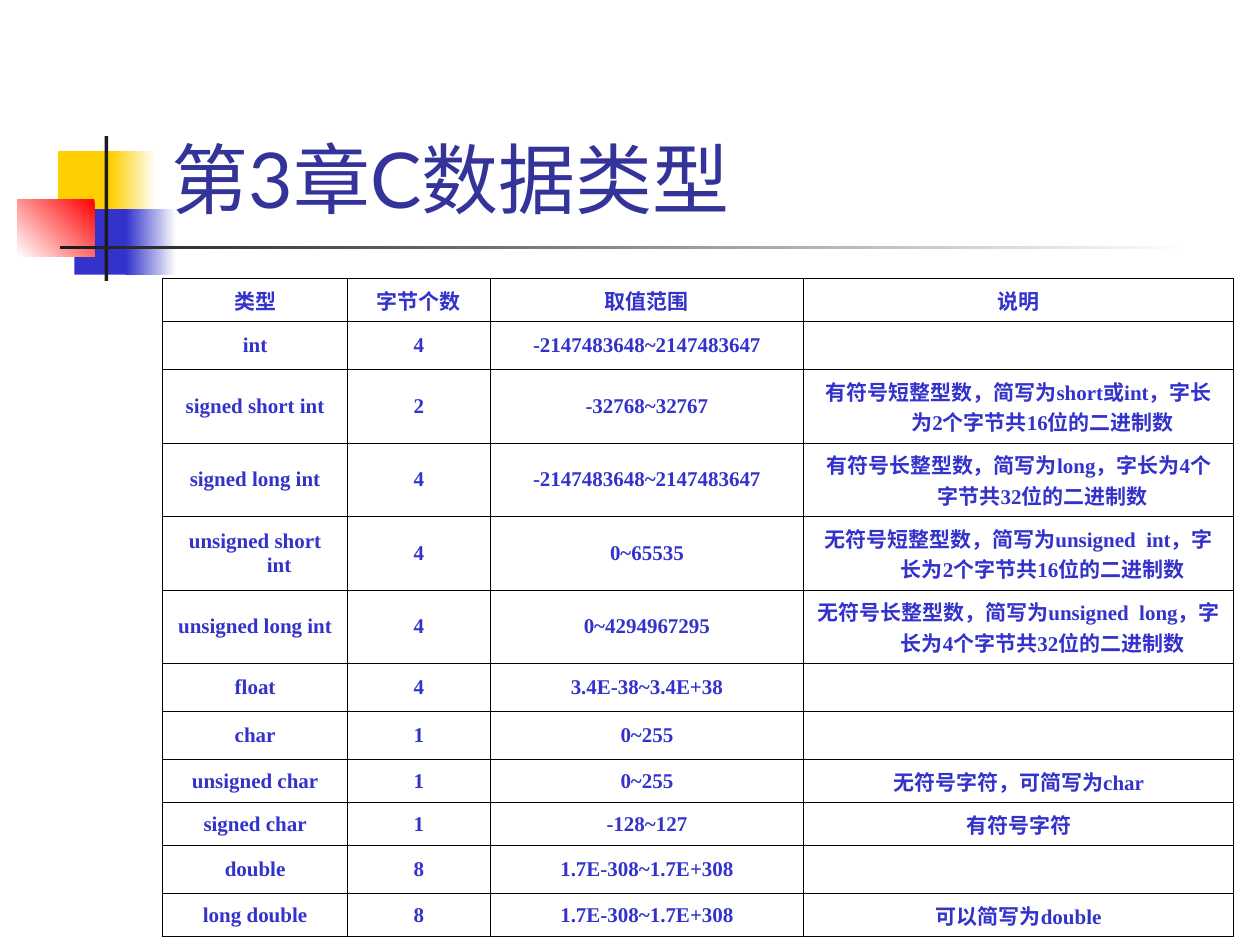
from lxml import etree
from pptx import Presentation
from pptx.dml.color import RGBColor
from pptx.enum.shapes import MSO_SHAPE
from pptx.enum.text import MSO_ANCHOR, PP_ALIGN
from pptx.oxml.ns import qn
from pptx.util import Inches, Pt

RECT = MSO_SHAPE.RECTANGLE
CENTER, LEFT = PP_ALIGN.CENTER, PP_ALIGN.LEFT
MIDDLE, TOP, BOTTOM = MSO_ANCHOR.MIDDLE, MSO_ANCHOR.TOP, MSO_ANCHOR.BOTTOM

WHITE = RGBColor(0xFF, 0xFF, 0xFF)
BLACK = RGBColor(0x00, 0x00, 0x00)
YELLOW = RGBColor(0xFF, 0xCF, 0x01)
BLUE = RGBColor(0x33, 0x33, 0xCC)
RED = RGBColor(0xFF, 0x00, 0x00)
DARK = RGBColor(0x1C, 0x1C, 0x1C)
NAVY = RGBColor(0x33, 0x33, 0x99)

TITLE = "第3章C数据类型"
TITLE_BOX = (1.26, 0.23, 8.52, 1.6)

DECORATIONS = [
    ((0.46, 1.2, 0.48, 0.52), (YELLOW,), None),
    ((0.88, 1.2, 0.36, 0.52), (WHITE, YELLOW), 180),
    ((0.59, 1.66, 0.46, 0.52), (BLUE,), None),
    ((1, 1.66, 0.4, 0.52), (WHITE, BLUE), 180),
    ((0.14, 1.58, 0.61, 0.46), (RED, WHITE), 225),
    ((0.83, 1.08, 0.03, 1.15), (DARK,), None),
    ((0.48, 1.95, 9, 0.03), (WHITE, DARK), 180),
]

TABLE_LEFT, TABLE_TOP = 1.29, 2.21
COLUMNS = [1.47, 1.13, 2.49, 3.41]
ONE_LINE, BLANK_NOTE, TWO_LINES = 0.34, 0.38, 0.58
LONG_NOTE = 20
INDENT = 0.38
ROWS = [
    ("类型", "字节个数", "取值范围", "说明"),
    ("int", "4", "-2147483648~2147483647", ""),
    ("signed short int", "2", "-32768~32767",
     "有符号短整型数，简写为short或int，字长为2个字节共16位的二进制数"),
    ("signed long int", "4", "-2147483648~2147483647",
     "有符号长整型数，简写为long，字长为4个字节共32位的二进制数"),
    ("unsigned short int", "4", "0~65535",
     "无符号短整型数，简写为unsigned  int，字长为2个字节共16位的二进制数"),
    ("unsigned long int", "4", "0~4294967295",
     "无符号长整型数，简写为unsigned  long，字长为4个字节共32位的二进制数"),
    ("float", "4", "3.4E-38~3.4E+38", ""),
    ("char", "1", "0~255", ""),
    ("unsigned char", "1", "0~255", "无符号字符，可简写为char"),
    ("signed char", "1", "-128~127", "有符号字符"),
    ("double", "8", "1.7E-308~1.7E+308", ""),
    ("long double", "8", "1.7E-308~1.7E+308", "可以简写为double"),
]


def set_font(p, name, size, color, bold):
    p.font.name, p.font.size, p.font.bold = name, Pt(size), bold
    p.font.color.rgb = color


def add_decoration(slide, box, colors, angle):
    sp = slide.shapes.add_shape(RECT, *map(Inches, box))
    sp.shadow.inherit = False
    sp.line.fill.background()
    if angle is None:
        sp.fill.solid()
        sp.fill.fore_color.rgb = colors[0]
        return
    sp.fill.gradient()
    sp.fill.gradient_angle = angle
    for stop, color in zip(sp.fill.gradient_stops, colors):
        stop.color.rgb = color


def add_borders(cell):
    props = cell._tc.get_or_add_tcPr()
    for i, side in enumerate(("a:lnL", "a:lnR", "a:lnT", "a:lnB")):
        ln = etree.Element(qn(side), w=str(Pt(0.45)))
        fill = etree.SubElement(ln, qn("a:solidFill"))
        etree.SubElement(fill, qn("a:srgbClr"), val=str(BLACK))
        props.insert(i, ln)


def fill_cell(cell, text, anchor):
    cell.text = text
    cell.vertical_anchor = anchor
    cell.fill.background()
    add_borders(cell)
    p = cell.text_frame.paragraphs[0]
    p.alignment = CENTER
    props = p._p.get_or_add_pPr()
    props.set("marL", str(Inches(INDENT)))
    props.set("indent", str(-Inches(INDENT)))
    set_font(p, "Times New Roman", 12, BLUE, True)
    if not text:
        etree.SubElement(p._p, qn("a:endParaRPr"), sz="1200")


def row_height(note):
    if not note:
        return BLANK_NOTE
    return TWO_LINES if len(note) > LONG_NOTE else ONE_LINE


def add_type_table(slide):
    heights = [row_height(row[-1]) for row in ROWS]
    box = (TABLE_LEFT, TABLE_TOP, sum(COLUMNS), sum(heights))
    table = slide.shapes.add_table(len(ROWS), len(COLUMNS), *map(Inches, box)).table
    table.first_row = table.horz_banding = False
    for column, width in zip(table.columns, COLUMNS):
        column.width = Inches(width)
    for r, (row, height) in enumerate(zip(ROWS, heights)):
        table.rows[r].height = Inches(height)
        for c, text in enumerate(row):
            fill_cell(table.cell(r, c), text, TOP if c == len(row) - 1 else MIDDLE)


def add_title(slide):
    title = slide.shapes.title
    title.left, title.top, title.width, title.height = map(Inches, TITLE_BOX)
    tf = title.text_frame
    tf.text = TITLE
    tf.vertical_anchor = BOTTOM
    p = tf.paragraphs[0]
    p.alignment = LEFT
    set_font(p, "Lato", 44, NAVY, False)
    slide.shapes.element.append(title.element)


def main():
    """Build the slide listing the C data types."""
    prs = Presentation()
    prs.slide_width, prs.slide_height = Inches(10), Inches(7.5)
    slide = prs.slides.add_slide(prs.slide_layouts[5])
    for decoration in DECORATIONS:
        add_decoration(slide, *decoration)
    add_title(slide)
    add_type_table(slide)
    prs.save("out.pptx")


if __name__ == "__main__":
    main()
